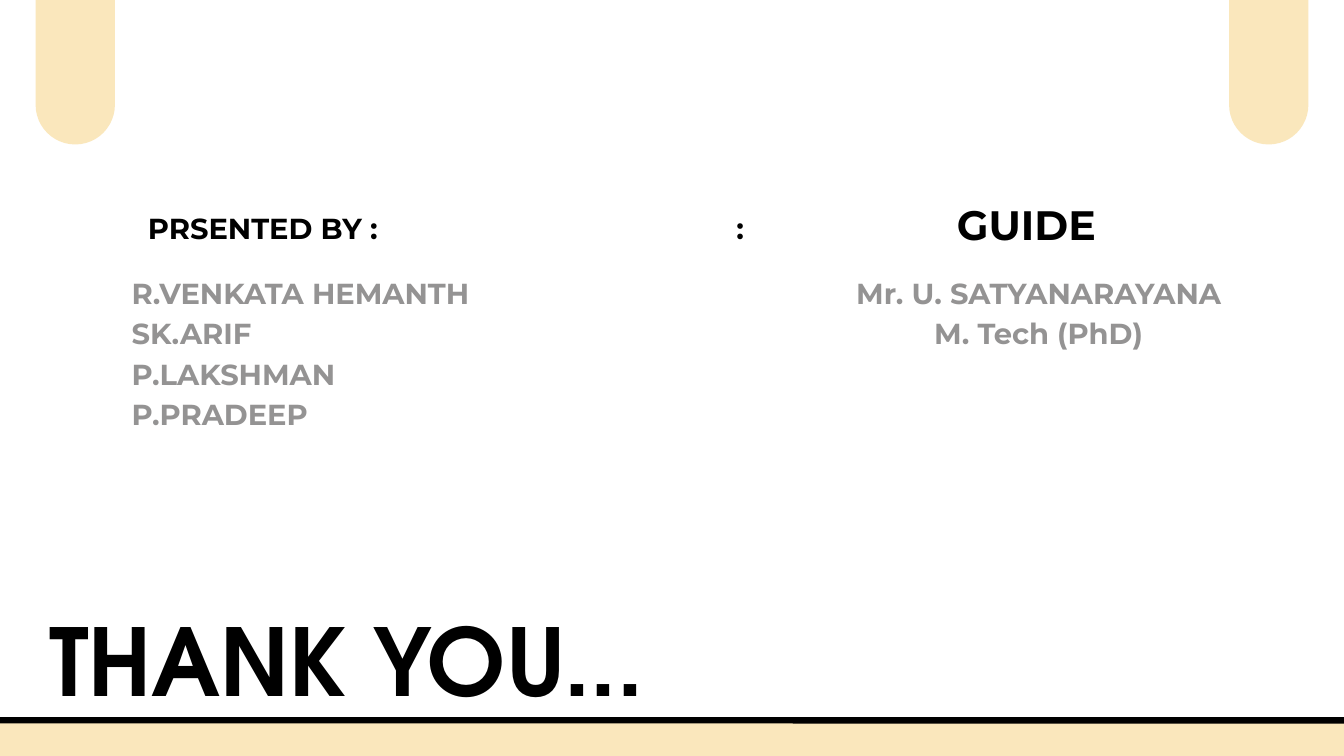
from pptx import Presentation
from pptx.dml.color import RGBColor
from pptx.enum.shapes import MSO_SHAPE
from pptx.enum.text import MSO_ANCHOR, MSO_AUTO_SIZE, PP_ALIGN
from pptx.util import Inches, Pt

ROUNDED = MSO_SHAPE.ROUNDED_RECTANGLE
TOP, NO_FIT = MSO_ANCHOR.TOP, MSO_AUTO_SIZE.NONE
LEFT, CENTER, JUSTIFY = PP_ALIGN.LEFT, PP_ALIGN.CENTER, PP_ALIGN.JUSTIFY

THEME = {
    "cream": RGBColor.from_string("FAE7BC"),
    "black": RGBColor.from_string("000000"),
    "gray": RGBColor.from_string("949393"),
    "title_font": "TeX Gyre Adventor",
    "body_font": "Montserrat",
    "title_size": 100,
    "guide_size": 44,
    "body_size": 31,
    "leading": 1.4,
}
SLIDE_WIDTH, SLIDE_HEIGHT = 20, 11.25

# Content: lines, box (left, top, width, height), colour, alignment
TITLE = ("THANK YOU...", (0.53, 8.7, 9.24, 1.86))
TEXTS = [
    (["PRSENTED BY :"], (1.96, 3.05, 3.9, 0.58), "black", CENTER),
    (["R.VENKATA HEMANTH", "SK.ARIF", "P.LAKSHMAN", "P.PRADEEP"],
     (1.96, 4.01, 6.12, 2.37), "gray", JUSTIFY),
    ([":"], (10.13, 3.05, 1.77, 0.56), "black", CENTER),
    (["Mr. U. SATYANARAYANA", "M. Tech (PhD)"],
     (12.63, 4.01, 5.65, 1.17), "gray", CENTER),
]
GUIDE = ("GUIDE", (14.24, 2.97, 2.49, 0.74))

# Decoration: pills mirrored about the slide centre, bar along the bottom
PILL_WIDTH, PILL_HEIGHT, PILL_TOP, PILL_MARGIN = 1.18, 3.23, -1.08, 0.53
BAR_BOX = (-0.58, 10.72, 21.16, 0.9)
BAR_LINE = 6.75


def add_rounded(slide, box, rounding, line_width=None):
    shape = slide.shapes.add_shape(ROUNDED, *map(Inches, box))
    shape.adjustments[0] = rounding
    shape.shadow.inherit = False
    shape.fill.solid()
    shape.fill.fore_color.rgb = THEME["cream"]
    if line_width:
        shape.line.color.rgb = THEME["black"]
        shape.line.width = Pt(line_width)
    else:
        shape.line.fill.background()


def write_lines(shape, lines, font_name, size, color, alignment, leading=None):
    frame = shape.text_frame
    frame.word_wrap = True
    frame.auto_size = NO_FIT
    frame.vertical_anchor = TOP
    frame.margin_left = frame.margin_right = 0
    frame.margin_top = frame.margin_bottom = 0
    frame.text = "\n".join(lines)
    for paragraph in frame.paragraphs:
        paragraph.alignment = alignment
        if leading:
            paragraph.line_spacing = Pt(size * leading)
        paragraph.font.name = font_name
        paragraph.font.size = Pt(size)
        paragraph.font.bold = True
        paragraph.font.color.rgb = THEME[color]


def main():
    presentation = Presentation()
    presentation.slide_width = Inches(SLIDE_WIDTH)
    presentation.slide_height = Inches(SLIDE_HEIGHT)
    slide = presentation.slides.add_slide(presentation.slide_layouts[5])

    # Title
    text, box = TITLE
    title = slide.shapes.title
    title.left, title.top, title.width, title.height = map(Inches, box)
    write_lines(title, [text], THEME["title_font"], THEME["title_size"],
                "black", CENTER, THEME["leading"])

    # Pills and bar
    for left in (SLIDE_WIDTH - PILL_MARGIN - PILL_WIDTH, PILL_MARGIN):
        add_rounded(slide, (left, PILL_TOP, PILL_WIDTH, PILL_HEIGHT), 0.5)
    add_rounded(slide, BAR_BOX, 0.1, BAR_LINE)

    # Presenters and guide
    for lines, box, color, alignment in TEXTS:
        text_box = slide.shapes.add_textbox(*map(Inches, box))
        write_lines(text_box, lines, THEME["body_font"], THEME["body_size"],
                    color, alignment, THEME["leading"])
    text, box = GUIDE
    text_box = slide.shapes.add_textbox(*map(Inches, box))
    write_lines(text_box, [text], THEME["body_font"], THEME["guide_size"],
                "black", LEFT)

    presentation.save("out.pptx")


if __name__ == "__main__":
    main()
